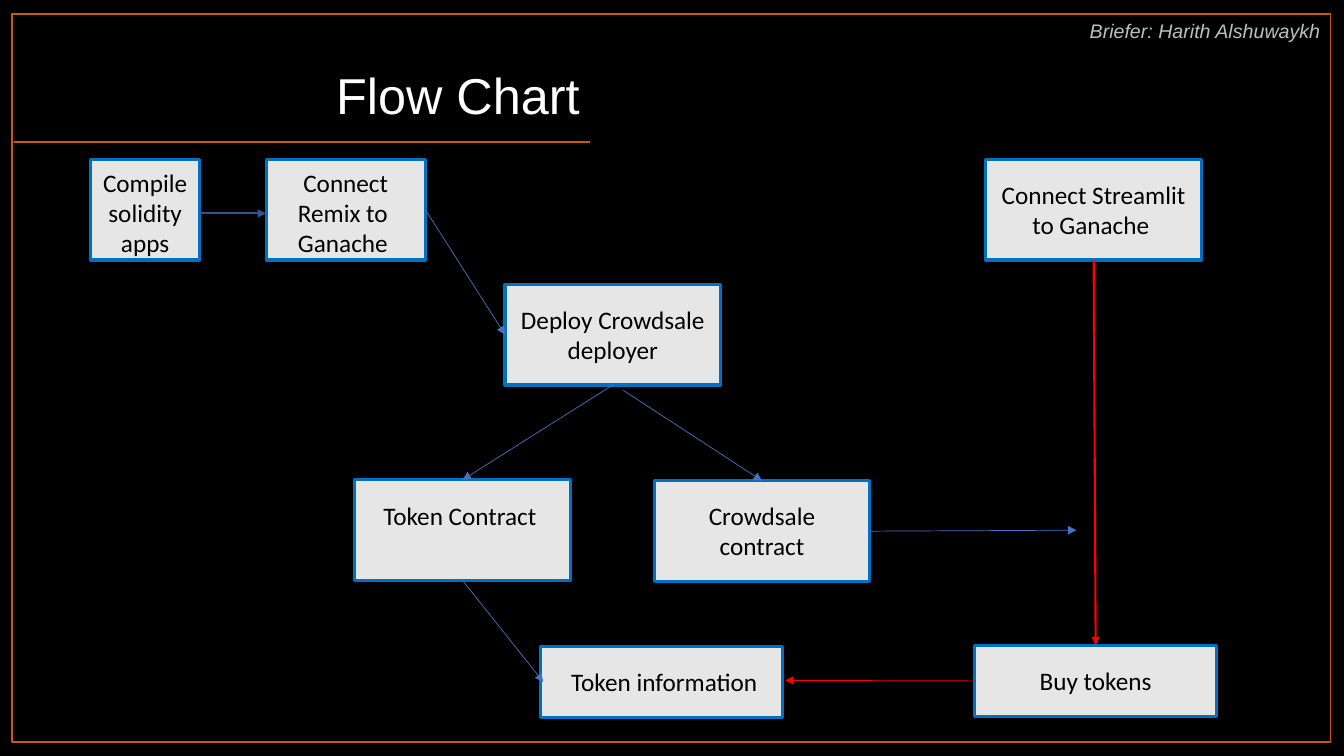
from lxml.etree import SubElement
from pptx import Presentation
from pptx.dml.color import RGBColor
from pptx.enum.shapes import MSO_CONNECTOR as Connector, MSO_SHAPE as Shape
from pptx.enum.text import MSO_AUTO_SIZE as AutoSize, PP_ALIGN as Align
from pptx.oxml.ns import qn
from pptx.util import Inches, Pt

COLORS = {
    "black": "000000", "white": "FFFFFF", "silver": "BFBFBF",
    "orange": "C55A11", "panel": "E7E6E6", "border": "0070C0",
    "navy": "2F5597", "blue": "4472C4", "red": "FF0000",
}
COLUMNS, ROWS = 80, 45
TOP, LEFT, BOTTOM, RIGHT = range(4)


def color(name):
    return RGBColor.from_string(COLORS[name])


class FlowPage:
    def __init__(self, deck):
        self.page = deck.slides.add_slide(deck.slide_layouts[6])
        self.column = deck.slide_width / COLUMNS
        self.row = deck.slide_height / ROWS

    def place(self, *lengths):
        units = (self.column, self.row) * 2
        return [round(length * unit) for length, unit in zip(lengths, units)]

    def panel(self, area, fill, line=None, weight=1):
        box = self.page.shapes.add_shape(Shape.RECTANGLE, *self.place(*area))
        box.shadow.inherit = False
        box.fill.solid()
        box.fill.fore_color.rgb = color(fill)
        if line:
            box.line.color.rgb = color(line)
            box.line.width = Pt(weight)
        else:
            box.line.fill.background()
        return box

    def text(self, area, words, size, ink, font="Arial", align=Align.RIGHT,
             italic=False, fit=AutoSize.SHAPE_TO_FIT_TEXT):
        box = self.page.shapes.add_textbox(*self.place(*area))
        frame = box.text_frame
        frame.word_wrap = True
        frame.auto_size = fit
        frame.text = words
        para = frame.paragraphs[0]
        para.alignment = align
        for span in para.runs:
            span.font.name = font
            span.font.size = Pt(size)
            span.font.italic = italic
            span.font.color.rgb = color(ink)
        return box

    def node(self, words, area, lines, drop=None, shift=0):
        left, top, width, height = area
        label_height = 0.6 + 1.83 * lines
        if drop is None:
            drop = (height - label_height) / 2
        box = self.panel(area, "panel", "border", 2.25)
        label = self.text((left + shift, top + drop, width, label_height),
                          words, 18, "black", "Calibri", Align.CENTER)
        return box, label

    def line(self, start, end, ink, weight, arrow=True):
        ends = [(0, 0) if hasattr(point[0], "shape_id") else point
                for point in (start, end)]
        link = self.page.shapes.add_connector(
            Connector.STRAIGHT, *self.place(*ends[0], *ends[1]))
        if hasattr(start[0], "shape_id"):
            link.begin_connect(*start)
        if hasattr(end[0], "shape_id"):
            link.end_connect(*end)
        link.line.color.rgb = color(ink)
        link.line.width = Pt(weight)
        if arrow:
            outline = link.line._get_or_add_ln()
            SubElement(outline, qn("a:tailEnd"), type="triangle")
        SubElement(link._element.spPr, qn("a:effectLst"))


def main():
    deck = Presentation()
    deck.slide_width, deck.slide_height = Inches(13.33), Inches(7.5)
    flow = FlowPage(deck)

    flow.panel((0, 0, COLUMNS, ROWS), "black")
    flow.panel((0.72, 0.84, 78.48, 43.32), "black", "orange")
    flow.line((0.84, 8.46), (35.1, 8.46), "orange", 1, arrow=False)
    flow.text((0.84, 3.54, 34.26, 4.26), "Flow Chart", 36, "white")
    flow.text((51.72, 0.84, 27.48, 4.86), "Briefer: Harith Alshuwaykh", 14,
              "silver", italic=True, fit=AutoSize.NONE)

    first_row, tall, wide = 9.48, 6, 12.84
    last_width, last_height = 14.4, 4.26
    compile_box, compile_label = flow.node(
        "Compile solidity apps", (5.4, first_row, 6.48, tall), 3, 0.18)
    remix, remix_label = flow.node(
        "Connect Remix to  Ganache ", (15.84, first_row, 9.48, tall), 3, 0.18)
    streamlit, _ = flow.node(
        "Connect Streamlit to Ganache ", (58.68, first_row, wide, tall), 2)
    buy, buy_label = flow.node(
        "Buy tokens", (58.02, 38.4, last_width, last_height), 1)
    deployer, _ = flow.node(
        "Deploy Crowdsale deployer", (30.06, 16.92, wide, tall), 2)
    crowdsale, _ = flow.node(
        "Crowdsale contract", (38.94, 28.62, wide, tall), 2)
    token, _ = flow.node(
        "Token Contract ", (21.12, 28.56, wide, tall), 1, 0.9)
    _, information = flow.node(
        "Token information", (32.16, 38.46, last_width, last_height), 1,
        shift=0.18)

    for start, end, ink, weight in (
        ((compile_label, RIGHT), (remix_label, LEFT), "navy", 1.5),
        ((streamlit, BOTTOM), (buy, TOP), "red", 1.5),
        ((remix, RIGHT), (deployer, LEFT), "blue", 0.5),
        ((37.08, 23.22), (crowdsale, TOP), "blue", 0.5),
        ((deployer, BOTTOM), (token, TOP), "blue", 0.5),
        ((crowdsale, RIGHT), (64.08, 31.56), "blue", 0.5),
        ((token, BOTTOM), (information, LEFT), "blue", 0.5),
        ((buy_label, LEFT), (46.74, 40.5), "red", 0.5),
    ):
        flow.line(start, end, ink, weight)

    deck.save("out.pptx")


if __name__ == "__main__":
    main()
